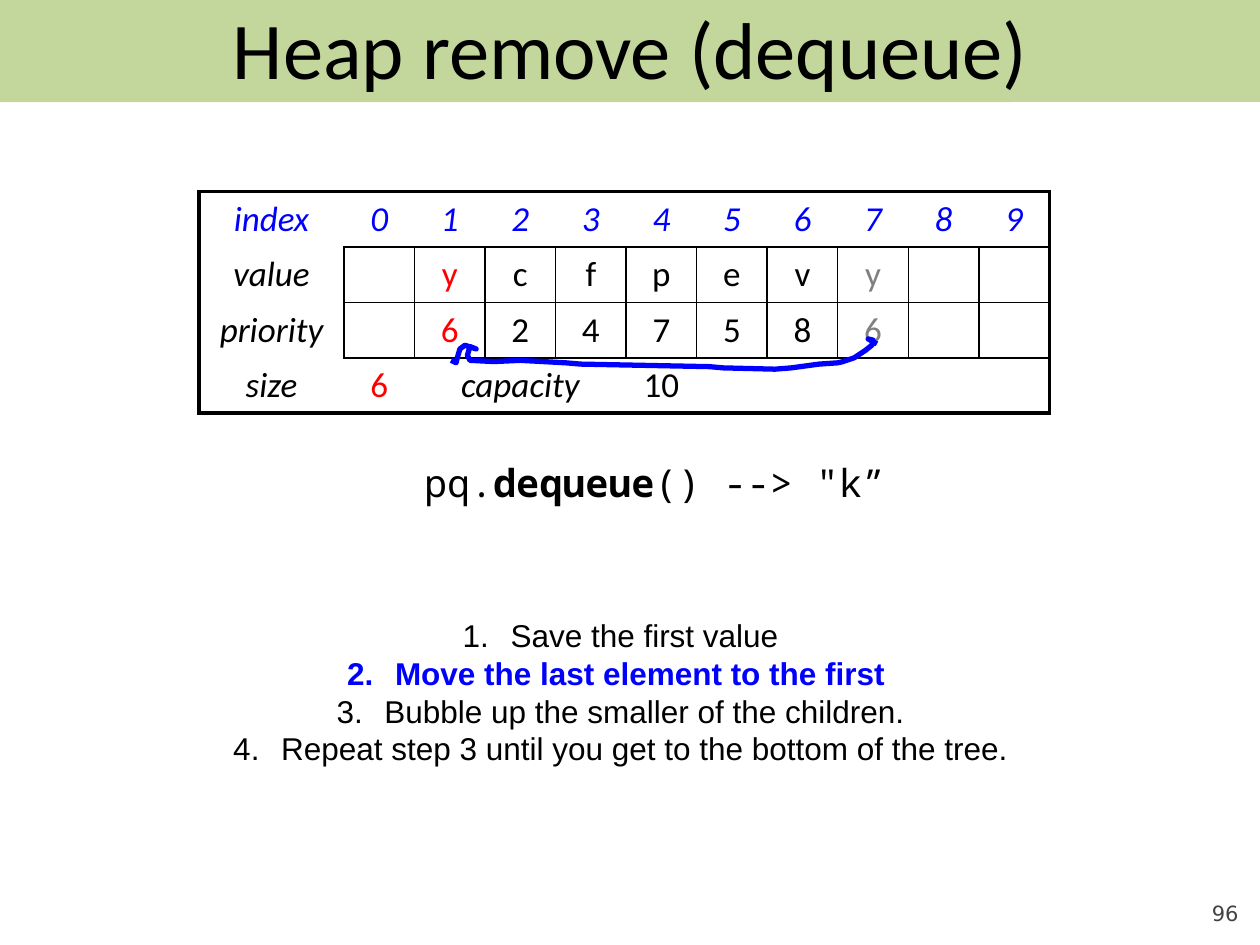
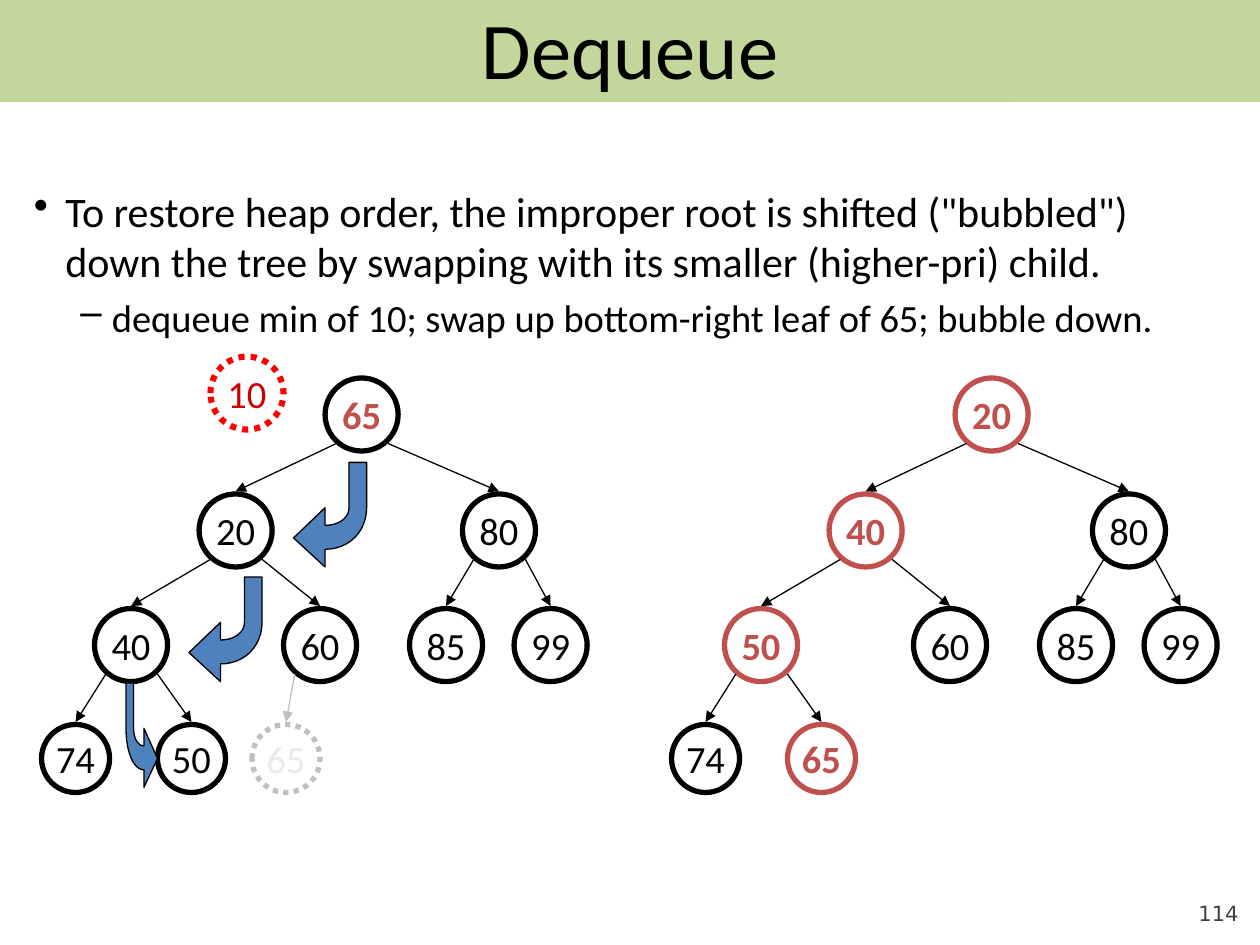
from dataclasses import dataclass

from lxml import etree
from pptx import Presentation
from pptx.dml.color import RGBColor
from pptx.enum.dml import MSO_LINE
from pptx.enum.shapes import MSO_CONNECTOR, MSO_SHAPE
from pptx.enum.text import MSO_ANCHOR, PP_ALIGN
from pptx.oxml.ns import qn
from pptx.util import Pt

SCALE = 9144  # EMU per px, 100 px to the inch
LEFT, CENTER, RIGHT = PP_ALIGN.LEFT, PP_ALIGN.CENTER, PP_ALIGN.RIGHT
TOP, MIDDLE, BOTTOM = MSO_ANCHOR.TOP, MSO_ANCHOR.MIDDLE, MSO_ANCHOR.BOTTOM
OVAL, BAND = MSO_SHAPE.OVAL, MSO_SHAPE.ROUNDED_RECTANGLE
STRAIGHT, DOTTED = MSO_CONNECTOR.STRAIGHT, MSO_LINE.ROUND_DOT

BLACK, GREEN, BLUE, RED = "000000", "C3D69B", "0000FF", "FF0000"
GRAY, FAINT, BRICK, STEEL = "808080", "C0C0C0", "C0504D", "4F81BD"
BODY, MONO, SANS, NUMBER = "Calibri", "Noto Sans Mono", "Arial", "DejaVu Sans"


@dataclass
class Style:
    size: int
    font: str = BODY
    color: str = BLACK
    bold: bool = False
    italic: bool = False


@dataclass
class Node:
    label: str
    left: int
    top: int
    size: int = 58
    text_color: str = BLACK
    line_color: str = BLACK
    width: float = 3
    bold: bool = False
    dotted: bool = False


def px(length: float) -> int:
    return round(length * SCALE)


def rgb(color: str) -> RGBColor:
    return RGBColor.from_string(color)


# Shared drawing helpers
def add_run(paragraph, text: str, style: Style) -> None:
    run = paragraph.add_run()
    run.text = text
    font = run.font
    font.name, font.size = style.font, Pt(style.size)
    font.bold, font.italic = style.bold, style.italic
    font.color.rgb = rgb(style.color)


def add_text_frame(slide, left: int, top: int, width: int, height: int, anchor=TOP):
    box = slide.shapes.add_textbox(px(left), px(top), px(width), px(height))
    frame = box.text_frame
    frame.word_wrap = True
    frame.vertical_anchor = anchor
    return frame


def set_bullet(paragraph, tag: str, name: str, value: str, margin: int, indent: int) -> None:
    properties = paragraph._p.get_or_add_pPr()
    properties.set("marL", str(px(margin)))
    properties.set("indent", str(px(indent)))
    etree.SubElement(properties, qn(tag)).set(name, value)


def set_outline(shape, color: str, width: float) -> None:
    shape.line.color.rgb = rgb(color)
    shape.line.width = Pt(width)
    shape.shadow.inherit = False


def add_outline(slide, points: list[tuple[float, float]], close: bool):
    emu_points = [(px(x), px(y)) for x, y in points]
    builder = slide.shapes.build_freeform(*emu_points[0])
    builder.add_line_segments(emu_points[1:], close=close)
    return builder.convert_to_shape()


def add_slide(presentation, title: str, number: str):
    slide = presentation.slides.add_slide(presentation.slide_layouts[6])
    frame = add_text_frame(slide, 900, 695, 83, 40, BOTTOM)
    frame.margin_left = frame.margin_right = frame.margin_top = frame.margin_bottom = 0
    frame.paragraphs[0].alignment = RIGHT
    add_run(frame.paragraphs[0], number, Style(12, NUMBER, "424242"))

    band = slide.shapes.add_shape(BAND, 0, 0, px(1000), px(81))
    band.adjustments[0] = 0.001
    band.fill.solid()
    band.fill.fore_color.rgb = rgb(GREEN)
    band.line.fill.background()
    band.shadow.inherit = False

    paragraph = add_text_frame(slide, 50, 0, 900, 75, MIDDLE).paragraphs[0]
    paragraph.alignment = CENTER
    add_run(paragraph, title, Style(46))
    return slide


# Heap array table
HEAP_ROWS = [
    ["index", *"0123456789"],
    ["value", "", *"ycfpevy", "", ""],
    ["priority", "", *"6247586", "", ""],
    ["size", "6", "capacity", "", "", "10", "", "", "", "", ""],
]
LAST_ROW, LAST_COLUMN = len(HEAP_ROWS), len(HEAP_ROWS[0])
CELL_COLORS = {(1, 2): RED, (2, 2): RED, (3, 1): RED, (1, 8): GRAY, (2, 8): GRAY}


def horizontal_width(boundary: int, column: int) -> float:
    if boundary in (0, LAST_ROW):
        return 2.25
    return 1 if column else 0


def vertical_width(boundary: int, row: int) -> float:
    if boundary in (0, LAST_COLUMN):
        return 2.25
    return 1 if row in (1, 2) else 0


def set_borders(cell, row: int, column: int) -> None:
    widths = {
        "a:lnL": vertical_width(column, row),
        "a:lnR": vertical_width(column + 1, row),
        "a:lnT": horizontal_width(row, column),
        "a:lnB": horizontal_width(row + 1, column),
    }
    properties = cell._tc.get_or_add_tcPr()
    for position, (tag, width) in enumerate(widths.items()):
        border = etree.Element(qn(tag))
        properties.insert(position, border)
        if width:
            border.set("w", str(Pt(width)))
            fill = etree.SubElement(border, qn("a:solidFill"))
            etree.SubElement(fill, qn("a:srgbClr")).set("val", BLACK)
        else:
            etree.SubElement(border, qn("a:noFill"))


def add_heap_table(slide) -> None:
    frame = slide.shapes.add_table(LAST_ROW, LAST_COLUMN, px(158), px(152), px(675), px(176))
    table = frame.table
    table.first_row = table.horz_banding = False
    for index, column in enumerate(table.columns):
        column.width = px(56 if index else 115)
    table.cell(3, 2).merge(table.cell(3, 4))
    for row, labels in enumerate(HEAP_ROWS):
        table.rows[row].height = px(44)
        for column, label in enumerate(labels):
            cell = table.cell(row, column)
            cell.fill.background()
            cell.vertical_anchor = MIDDLE
            set_borders(cell, row, column)
            if label:
                color = BLUE if row == 0 else CELL_COLORS.get((row, column), BLACK)
                italic = row == 0 or column == 0 or label == "capacity"
                paragraph = cell.text_frame.paragraphs[0]
                paragraph.alignment = CENTER
                add_run(paragraph, label, Style(20, color=color, italic=italic))


# Handwritten stroke from the last element to the first
INK_POINTS = [
    (696, 273), (689, 269), (693, 270), (692, 274), (687, 278), (681, 282), (678, 284),
    (669, 287), (665, 288), (650, 289), (628, 292), (615, 293), (574, 292), (563, 291),
    (461, 289), (449, 288), (413, 286), (392, 287), (373, 286), (371, 282), (373, 275),
    (378, 277), (369, 274), (365, 277), (363, 284), (362, 288), (358, 286),
]
STEPS = [
    "Save the first value",
    "Move the last element to the first ",
    "Bubble up the smaller of the children.",
    "Repeat step 3 until you get to the bottom of the tree.",
]
CURRENT_STEP = 1


def build_remove_slide(presentation) -> None:
    slide = add_slide(presentation, "Heap remove (dequeue)", "96")

    call = add_text_frame(slide, 55, 358, 929, 50, MIDDLE).paragraphs[0]
    call.alignment = CENTER
    for text, bold in (("pq.", False), ("dequeue", True), ("() --> \"k”", False)):
        add_run(call, text, Style(22, MONO, bold=bold))

    add_heap_table(slide)

    frame = add_text_frame(slide, 153, 484, 679, 131)
    for index, step in enumerate(STEPS):
        paragraph = frame.add_paragraph() if index else frame.paragraphs[0]
        paragraph.alignment = CENTER
        set_bullet(paragraph, "a:buAutoNum", "type", "arabicPeriod", 38, -38)
        current = index == CURRENT_STEP
        add_run(paragraph, step, Style(18, SANS, BLUE if current else BLACK, current))

    ink = add_outline(slide, INK_POINTS, close=False)
    ink.fill.background()
    set_outline(ink, BLUE, 3)


# Heap trees: slots by level, edges as (parent, child)
SLOTS = [(258, 300), (158, 392), (367, 392), (75, 483), (225, 483), (325, 483),
         (408, 483), (33, 575), (125, 575)]
EDGES = [(0, 1), (0, 2), (1, 3), (1, 4), (2, 5), (2, 6), (3, 7), (3, 8)]
LEAF_TOP, LEAF_SIZE, TREE_SHIFT = 575, 54, 500


def add_node(slide, node: Node) -> None:
    shape = slide.shapes.add_shape(OVAL, px(node.left), px(node.top), px(node.size), px(node.size))
    shape.fill.background()
    set_outline(shape, node.line_color, node.width)
    if node.dotted:
        shape.line.dash_style = DOTTED
    frame = shape.text_frame
    frame.word_wrap = False
    frame.vertical_anchor = MIDDLE
    frame.paragraphs[0].alignment = CENTER
    add_run(frame.paragraphs[0], node.label, Style(22, color=node.text_color, bold=node.bold))


def add_edge(slide, parent: Node, child: Node, color: str = BLACK) -> None:
    start_x = parent.left + (9 if child.left + child.size / 2 < parent.left + 29 else 50)
    edge = slide.shapes.add_connector(
        STRAIGHT, px(start_x), px(parent.top + 52),
        px(child.left + child.size / 2), px(child.top - 2))
    edge.line.color.rgb = rgb(color)
    edge.line.width = Pt(0.75)
    etree.SubElement(edge.line._get_or_add_ln(), qn("a:tailEnd")).set("type", "triangle")
    etree.SubElement(edge._element.spPr, qn("a:effectLst"))


def add_tree(slide, labels: str, shift: int, moved: tuple[int, ...], ring: str) -> list[Node]:
    nodes = []
    for index, (label, (left, top)) in enumerate(zip(labels.split(), SLOTS)):
        node = Node(label, left + shift, top, LEAF_SIZE if top == LEAF_TOP else 58)
        if index in moved:
            node.text_color, node.line_color, node.bold = BRICK, ring, True
        nodes.append(node)
        add_node(slide, node)
    for parent, child in EDGES:
        add_edge(slide, nodes[parent], nodes[child])
    return nodes


def bezier(*controls: tuple[float, float], steps: int = 12) -> list[tuple[float, float]]:
    points = []
    for step in range(steps + 1):
        t = step / steps
        weights = ((1 - t) ** 3, 3 * t * (1 - t) ** 2, 3 * t * t * (1 - t), t ** 3)
        points.append(tuple(sum(w * c[axis] for w, c in zip(weights, controls)) for axis in (0, 1)))
    return points


# Curved swap arrow in a 58 by 83 frame, pointing left
SWAP_ARROW = [
    (0, 60), (25, 83), *bezier((25, 69), (44, 69), (58, 55), (58, 36)),
    (58, 0), (44, 0), *bezier((44, 36), (44, 44), (36, 50), (25, 50)), (25, 36),
]


def add_swap_arrow(slide, tip_x: int, top: int, width: int) -> None:
    """A negative width makes the arrow point right."""
    points = [(tip_x + x * width / 58, top + y) for x, y in SWAP_ARROW]
    arrow = add_outline(slide, points, close=True)
    arrow.fill.solid()
    arrow.fill.fore_color.rgb = rgb(STEEL)
    set_outline(arrow, BLACK, 0.75)


def build_dequeue_slide(presentation) -> None:
    slide = add_slide(presentation, "Dequeue", "114")

    frame = add_text_frame(slide, 17, 142, 967, 140)
    rule, example = frame.paragraphs[0], frame.add_paragraph()
    set_bullet(rule, "a:buChar", "char", "•", 25, -25)
    add_run(rule, "To restore heap order, the improper root is shifted (\"bubbled\") down "
                  "the tree by swapping with its smaller (higher-pri) child.", Style(24))
    example.level, example.space_before = 1, Pt(4.4)
    set_bullet(example, "a:buChar", "char", "–", 62, -25)
    add_run(example, "dequeue min of 10; swap up bottom-right leaf of 65; bubble down.", Style(22))

    before = add_tree(slide, "65 20 80 40 60 85 99 74 50", 0, (0,), BLACK)
    add_tree(slide, "20 40 80 50 60 85 99 74 65", TREE_SHIFT, (0, 1, 3, 8), BRICK)
    for tip_x, top, width in ((233, 367, 58), (150, 458, 58), (125, 542, -25)):
        add_swap_arrow(slide, tip_x, top, width)

    # Removed minimum and vacated leaf
    add_node(slide, Node("10", 167, 283, 58, "CC0000", RED, 3.5, dotted=True))
    vacated = Node("65", 200, LEAF_TOP, LEAF_SIZE, "EAEAEA", FAINT, dotted=True)
    add_node(slide, vacated)
    add_edge(slide, before[4], vacated, FAINT)


def main() -> None:
    presentation = Presentation()
    presentation.slide_width, presentation.slide_height = px(1000), px(750)
    build_remove_slide(presentation)
    build_dequeue_slide(presentation)
    presentation.save("out.pptx")


if __name__ == "__main__":
    main()
